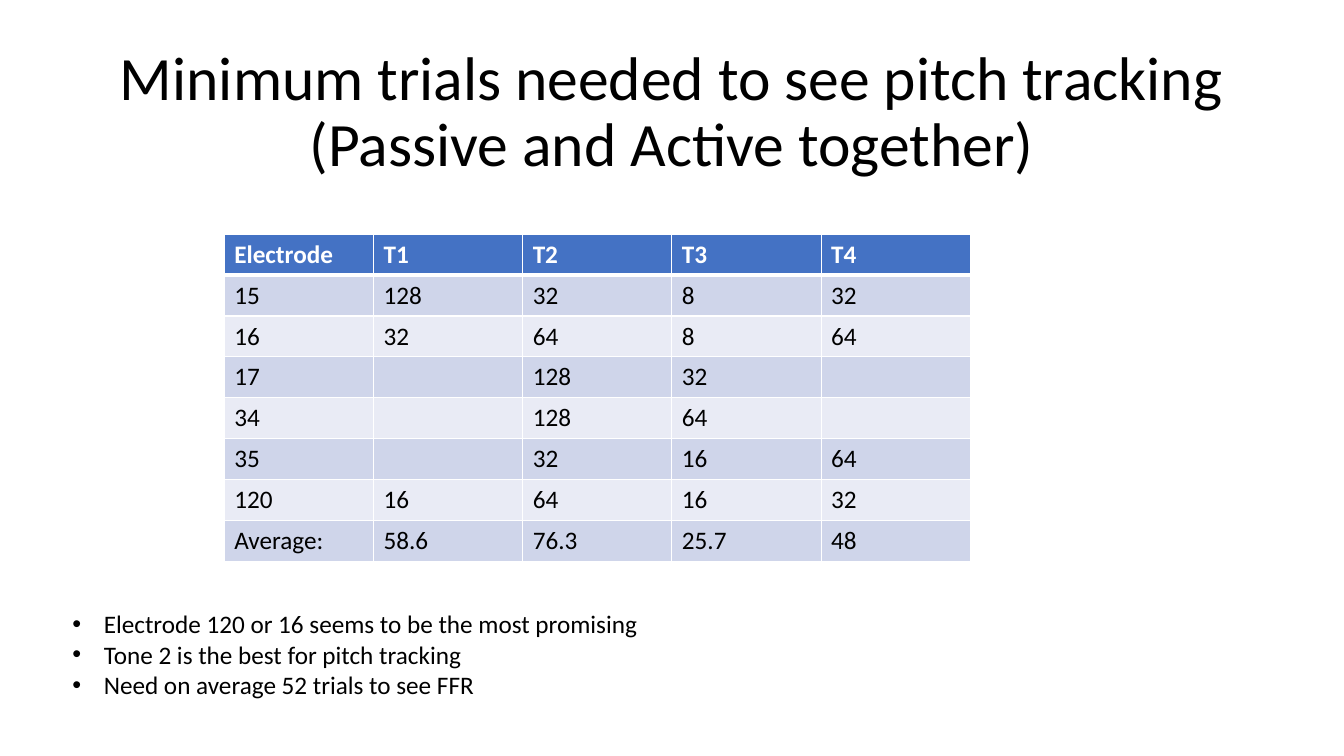
import pptx
import pptx.util
import pptx.dml.color
import pptx.enum.text
import pptx.oxml
import pptx.oxml.ns

Pt = pptx.util.Pt
PP_ALIGN = pptx.enum.text.PP_ALIGN
MSO_ANCHOR = pptx.enum.text.MSO_ANCHOR
MSO_AUTO_SIZE = pptx.enum.text.MSO_AUTO_SIZE
NS = pptx.oxml.ns.nsdecls("a")

COLORS = {
    "text": "000000",
    "white": "FFFFFF",
    "header": "4472C4",
    "odd": "CFD5EA",
    "even": "E9EBF5",
}


def rgb(name):
    return pptx.dml.color.RGBColor.from_string(COLORS[name])


def write(p, text, size=18, color="text", bold=False, align=PP_ALIGN.LEFT, spacing=1.0):
    p.text = text
    p.alignment = align
    p.line_spacing = spacing
    for r in p.runs:
        r.font.name = "Calibri"
        r.font.size = Pt(size)
        r.font.bold = bold
        r.font.color.rgb = rgb(color)


prs = pptx.Presentation()
prs.slide_width, prs.slide_height = Pt(960), Pt(540)
s = prs.slides.add_slide(prs.slide_layouts[5])

title = s.shapes.title
title.left, title.top, title.width, title.height = Pt(66), Pt(28.75), Pt(828), Pt(104.4)
tf = title.text_frame
tf.word_wrap = True
tf.auto_size = MSO_AUTO_SIZE.NONE
tf.vertical_anchor = MSO_ANCHOR.MIDDLE
write(tf.paragraphs[0], "Minimum trials needed to see pitch tracking\v(Passive and Active together)",
      size=44, align=PP_ALIGN.CENTER, spacing=0.9)

rows = [
    ["Electrode", "T1", "T2", "T3", "T4"],
    ["15", "128", "32", "8", "32"],
    ["16", "32", "64", "8", "64"],
    ["17", "", "128", "32", ""],
    ["34", "", "128", "64", ""],
    ["35", "", "32", "16", "64"],
    ["120", "16", "64", "16", "32"],
    ["Average:", "58.6", "76.3", "25.7", "48"],
]
col_width, row_height = 106.6, 29.2
table = s.shapes.add_table(len(rows), len(rows[0]), Pt(160.2), Pt(167.3),
                           Pt(col_width * len(rows[0])), Pt(row_height * len(rows))).table
for col in table.columns:
    col.width = Pt(col_width)
for i, row in enumerate(rows):
    table.rows[i].height = Pt(row_height)
    fill = "header" if i == 0 else "odd" if i % 2 else "even"
    for j, value in enumerate(row):
        cell = table.cell(i, j)
        tcPr = cell._tc.get_or_add_tcPr()
        for side in ("L", "R", "T", "B"):
            thick = (i == 0 and side == "B") or (i == 1 and side == "T")
            tcPr.append(pptx.oxml.parse_xml(
                f'<a:ln{side} {NS} w="{Pt(3 if thick else 1)}"><a:solidFill>'
                f'<a:srgbClr val="{COLORS["white"]}"/></a:solidFill></a:ln{side}>'))
        cell.fill.solid()
        cell.fill.fore_color.rgb = rgb(fill)
        write(cell.text_frame.paragraphs[0], value,
              color="white" if i == 0 else "text", bold=i == 0)

findings = [
    "Electrode 120 or 16 seems to be the most promising",
    "Tone 2 is the best for pitch tracking",
    "Need on average 52 trials to see FFR",
]
tf = s.shapes.add_textbox(Pt(44.6), Pt(431.3), Pt(789), Pt(72.7)).text_frame
tf.word_wrap = True
tf.auto_size = MSO_AUTO_SIZE.SHAPE_TO_FIT_TEXT
for i, finding in enumerate(findings):
    p = tf.paragraphs[0] if i == 0 else tf.add_paragraph()
    write(p, finding)
    pPr = p._p.get_or_add_pPr()
    pPr.set("marL", str(Pt(22.5)))
    pPr.set("indent", str(-Pt(22.5)))
    pPr.append(pptx.oxml.parse_xml(f'<a:buFont {NS} typeface="Arial"/>'))
    pPr.append(pptx.oxml.parse_xml(f'<a:buChar {NS} char="•"/>'))

prs.save("out.pptx")
